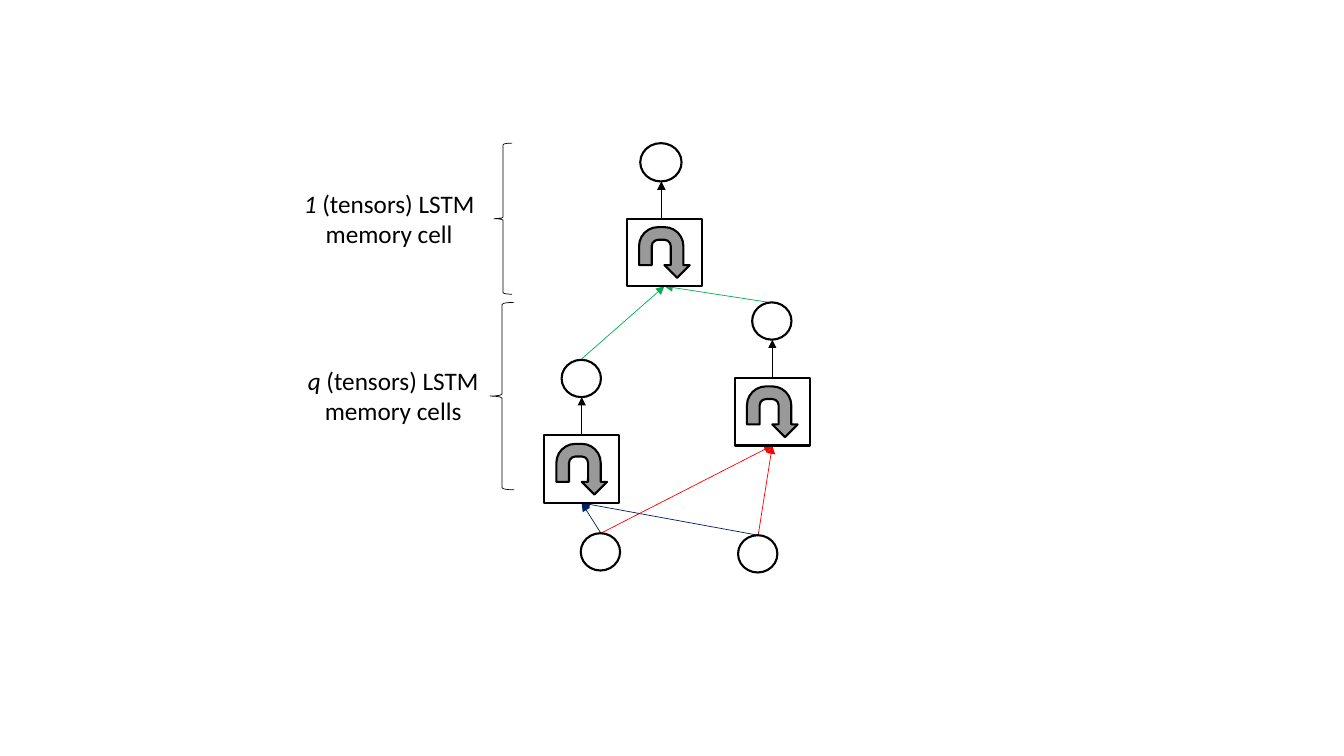
from lxml.etree import SubElement
from pptx import Presentation
from pptx.dml.color import RGBColor
from pptx.enum.shapes import MSO_CONNECTOR, MSO_SHAPE
from pptx.enum.text import MSO_AUTO_SIZE, PP_ALIGN
from pptx.oxml.ns import qn
from pptx.util import Inches, Pt

PX = Inches(1) // 100
COLOURS = {"ink": "000000", "paper": "FFFFFF", "red": "FF0000",
           "navy": "002060", "green": "00B050"}
CELL_WIDTH, CELL_HEIGHT = 74, 67
NODE_SIZE = (39, 37)
LEFT_CELL, RIGHT_CELL, TOP_CELL = (540, 432), (729, 375), (622, 217)
LEFT_INPUT, RIGHT_INPUT = (576, 529), (732, 531)


def colour(name):
    return RGBColor.from_string(COLOURS[name])


def add_arrow(page, start, end, name="ink"):
    ends = [value * PX for value in start + end]
    arrow = page.shapes.add_connector(MSO_CONNECTOR.STRAIGHT, *ends)
    arrow.line.color.rgb = colour(name)
    arrow.line.width = Pt(0.5)
    properties = arrow._element.spPr
    SubElement(properties.find(qn("a:ln")), qn("a:tailEnd"), type="triangle")
    SubElement(properties, qn("a:effectLst"))


def add_outline(page, kind, box, width=1.5, filled=True):
    shape = page.shapes.add_shape(kind, *[value * PX for value in box])
    shape.shadow.inherit = False
    if filled:
        shape.fill.solid()
        shape.fill.fore_color.rgb = colour("paper")
    else:
        shape.fill.background()
    shape.line.color.rgb = colour("ink")
    shape.line.width = Pt(width)
    return shape


def add_node(page, place, size=NODE_SIZE):
    add_outline(page, MSO_SHAPE.FLOWCHART_CONNECTOR, place + size)


def add_memory_cell(page, place, node_shift=17, node_size=NODE_SIZE):
    left, top = place
    node_left, node_top = left + node_shift, top - 75
    middle = node_left + node_size[0] // 2 + 1
    add_arrow(page, (middle, top), (middle, node_top + node_size[1]))
    add_node(page, (node_left, node_top), node_size)
    box = (left, top, CELL_WIDTH, CELL_HEIGHT)
    button = add_outline(page, MSO_SHAPE.ACTION_BUTTON_RETURN, box)
    button._element.spPr.find(qn("a:xfrm")).set("flipV", "1")


def add_links(page):
    left_start, right_start = [(x + 20, y) for x, y in (LEFT_INPUT, RIGHT_INPUT)]
    left_end, right_end, top_end = [
        (x + CELL_WIDTH // 2, y + CELL_HEIGHT) for x, y in (LEFT_CELL, RIGHT_CELL, TOP_CELL)]
    for start, end, name in [
        (right_start, right_end, "red"),
        (left_start, right_end, "red"),
        (right_start, left_end, "navy"),
        (left_start, left_end, "navy"),
        ((577, 356), top_end, "green"),
        ((763, 300), top_end, "green"),
    ]:
        add_arrow(page, start, end, name)


def add_layer_label(page, brace_box, text_box, count, wording):
    brace = add_outline(page, MSO_SHAPE.RIGHT_BRACE, brace_box, 0.5, False)
    brace._element.spPr.find(qn("a:xfrm")).set("flipH", "1")
    label = page.shapes.add_textbox(*[value * PX for value in text_box])
    frame = label.text_frame
    frame.word_wrap = True
    frame.auto_size = MSO_AUTO_SIZE.SHAPE_TO_FIT_TEXT
    para = frame.paragraphs[0]
    para.alignment = PP_ALIGN.CENTER
    for text, italic in ((count, True), (wording, False)):
        span = para.add_run()
        span.text = text
        span.font.name = "Calibri"
        span.font.size = Pt(18)
        span.font.italic = italic
        span.font.color.rgb = colour("ink")


def main():
    deck = Presentation()
    deck.slide_width, deck.slide_height = Inches(13.33), Inches(7.5)
    page = deck.slides.add_slide(deck.slide_layouts[6])
    add_links(page)
    add_layer_label(page, (486, 300, 24, 186), (278, 357, 224, 71),
                    "q ", "(tensors) LSTM memory cells")
    add_layer_label(page, (490, 142, 18, 150), (289, 182, 194, 71),
                    "1 ", "(tensors) LSTM memory cell")
    add_memory_cell(page, TOP_CELL, 13, (41, 38))
    for place in (LEFT_CELL, RIGHT_CELL):
        add_memory_cell(page, place)
    for place in (LEFT_INPUT, RIGHT_INPUT):
        add_node(page, place)
    deck.save("out.pptx")


if __name__ == "__main__":
    main()
